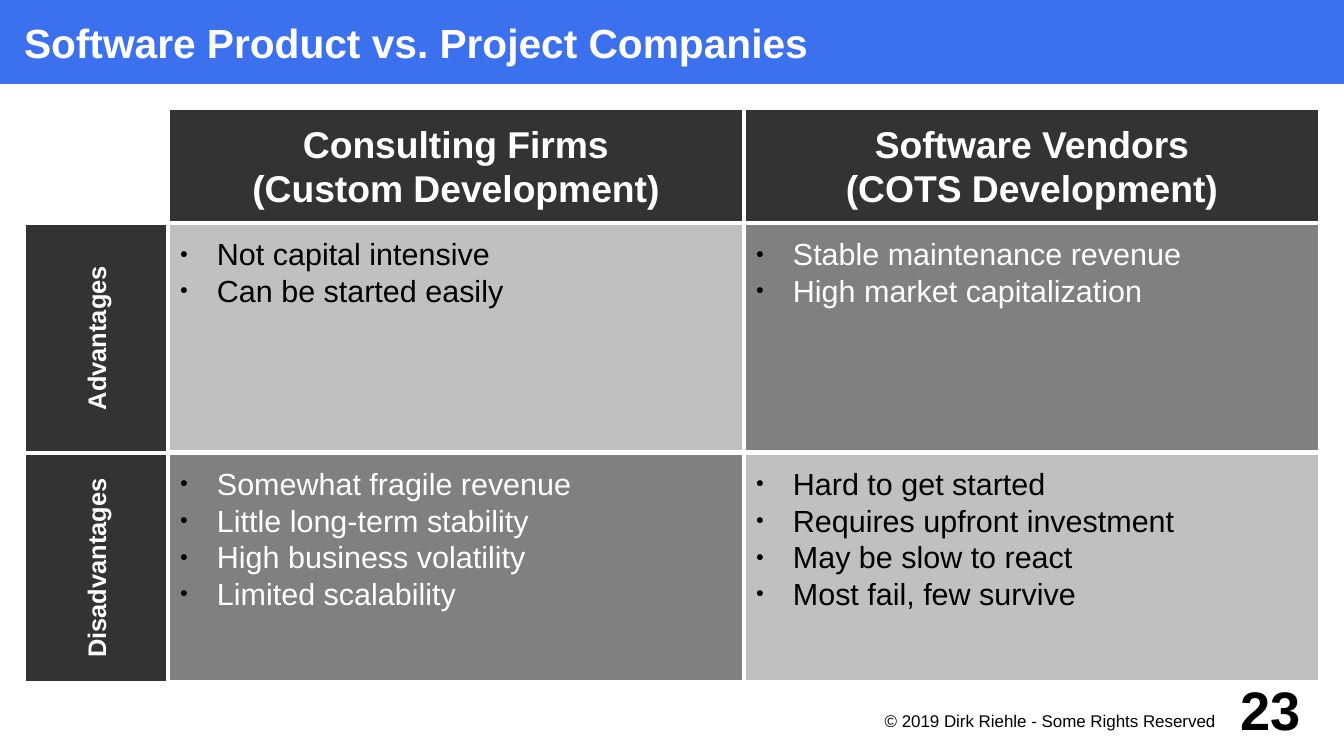
from lxml.etree import SubElement
from pptx import Presentation
from pptx.dml.color import RGBColor
from pptx.enum.shapes import MSO_SHAPE
from pptx.enum.text import MSO_ANCHOR, PP_ALIGN
from pptx.oxml.ns import qn
from pptx.util import Emu, Pt

WIDTH, HEIGHT = 1344, 756
BLUE, DARK, MEDIUM, LIGHT = "3B70EE", "333333", "808080", "C0C0C0"
WHITE, BLACK = "FFFFFF", "000000"
BULLET_INDENT = 37

COLUMNS = [
    ["Consulting Firms", "(Custom Development)"],
    ["Software Vendors", "(COTS Development)"],
]
ROWS = [
    ("Advantages", [
        ["Not capital intensive", "Can be started easily"],
        ["Stable maintenance revenue", "High market capitalization"],
    ]),
    ("Disadvantages", [
        ["Somewhat fragile revenue", "Little long-term stability",
         "High business volatility", "Limited scalability"],
        ["Hard to get started", "Requires upfront investment",
         "May be slow to react", "Most fail, few survive"],
    ]),
]


def px(length):
    return Emu(length * 7495)


def rgb(color):
    return RGBColor.from_string(color)


def add_bullet(paragraph):
    properties = paragraph._p.get_or_add_pPr()
    properties.set("marL", str(px(BULLET_INDENT)))
    properties.set("indent", str(-px(BULLET_INDENT)))
    color = SubElement(properties, qn("a:buClr"))
    SubElement(color, qn("a:srgbClr"), val=BLACK)
    SubElement(properties, qn("a:buSzPct"), val="45000")
    SubElement(properties, qn("a:buFont"), typeface="Arial")
    SubElement(properties, qn("a:buChar"), char="●")


def write(shape, lines, size, color, bold=False, align=PP_ALIGN.LEFT,
          anchor=MSO_ANCHOR.MIDDLE, insets=(0, 0, 0, 0), bulleted=False):
    """Fill the shape with one paragraph per line; insets run left, top, right, bottom."""
    frame = shape.text_frame
    frame.word_wrap = True
    frame.vertical_anchor = anchor
    (frame.margin_left, frame.margin_top,
     frame.margin_right, frame.margin_bottom) = map(px, insets)
    for index, line in enumerate(lines):
        paragraph = frame.add_paragraph() if index else frame.paragraphs[0]
        paragraph.alignment = align
        if bulleted:
            add_bullet(paragraph)
        paragraph.text = line
        font = paragraph.font
        font.name, font.size, font.bold = "Arial", Pt(size), bold
        font.color.rgb = rgb(color)


def add_block(slide, left, top, width, height, fill, bordered=True):
    block = slide.shapes.add_shape(
        MSO_SHAPE.RECTANGLE, px(left), px(top), px(width), px(height))
    block.shadow.inherit = False
    block.fill.solid()
    block.fill.fore_color.rgb = rgb(fill)
    if bordered:
        block.line.color.rgb = rgb(WHITE)
        block.line.width = Pt(2.83)
    else:
        block.line.fill.background()
    return block


def add_title(slide, left, top, width, height):
    banner = add_block(slide, left, top, width, height, BLUE, bordered=False)
    write(banner, ["Software Product vs. Project Companies"], 24, WHITE,
          bold=True, insets=(24, 0, 0, 0))


def add_row_label(slide, left, top, width, height, label):
    """Place a block turned to read upwards so that it covers the given box."""
    shift = (height - width) // 2
    block = add_block(slide, left - shift, top + shift, height, width, DARK)
    block.rotation = 270
    write(block, [label], 15, WHITE, bold=True, align=PP_ALIGN.CENTER,
          insets=(12, 6, 12, 6))


def add_matrix(slide, left, top, width, height):
    label_width, header_height = 144, 115
    cell_width = (width - label_width) // len(COLUMNS)
    cell_height = (height - header_height) // len(ROWS)
    column_lefts = [left + label_width + i * cell_width for i in range(len(COLUMNS))]

    for row, (label, cells) in enumerate(ROWS):
        row_top = top + header_height + row * cell_height
        for column, points in enumerate(cells):
            fill, color = ((LIGHT, BLACK), (MEDIUM, WHITE))[(row + column) % 2]
            cell = add_block(slide, column_lefts[column], row_top,
                             cell_width, cell_height, fill)
            write(cell, points, 18, color, anchor=MSO_ANCHOR.TOP,
                  insets=(12, 12, 0, 0), bulleted=True)
        add_row_label(slide, left, row_top, label_width, cell_height, label)

    for column_left, heading in zip(column_lefts, COLUMNS):
        header = add_block(slide, column_left, top, cell_width, header_height, DARK)
        write(header, heading, 22, WHITE, bold=True, align=PP_ALIGN.CENTER,
              insets=(12, 6, 12, 6))


def add_footer(slide, left, top, width, height):
    number_width = 96
    rights = slide.shapes.add_textbox(
        px(left), px(top + 37), px(width - number_width), px(height - 37))
    write(rights, ["© 2019 Dirk Riehle - Some Rights Reserved"], 10, BLACK,
          align=PP_ALIGN.RIGHT, anchor=MSO_ANCHOR.TOP, insets=(0, 2, 10, 0))
    number = slide.shapes.add_textbox(
        px(left + width - number_width - 20), px(top), px(number_width), px(height))
    write(number, ["23"], 32, BLACK, bold=True, align=PP_ALIGN.RIGHT)


def main():
    presentation = Presentation()
    presentation.slide_width, presentation.slide_height = px(WIDTH), px(HEIGHT)
    slide = presentation.slides.add_slide(presentation.slide_layouts[6])
    add_title(slide, 0, 0, WIDTH, 84)
    add_matrix(slide, 24, 108, 1296, 576)
    add_footer(slide, 865, 672, 456, 74)
    presentation.save("out.pptx")


if __name__ == "__main__":
    main()
